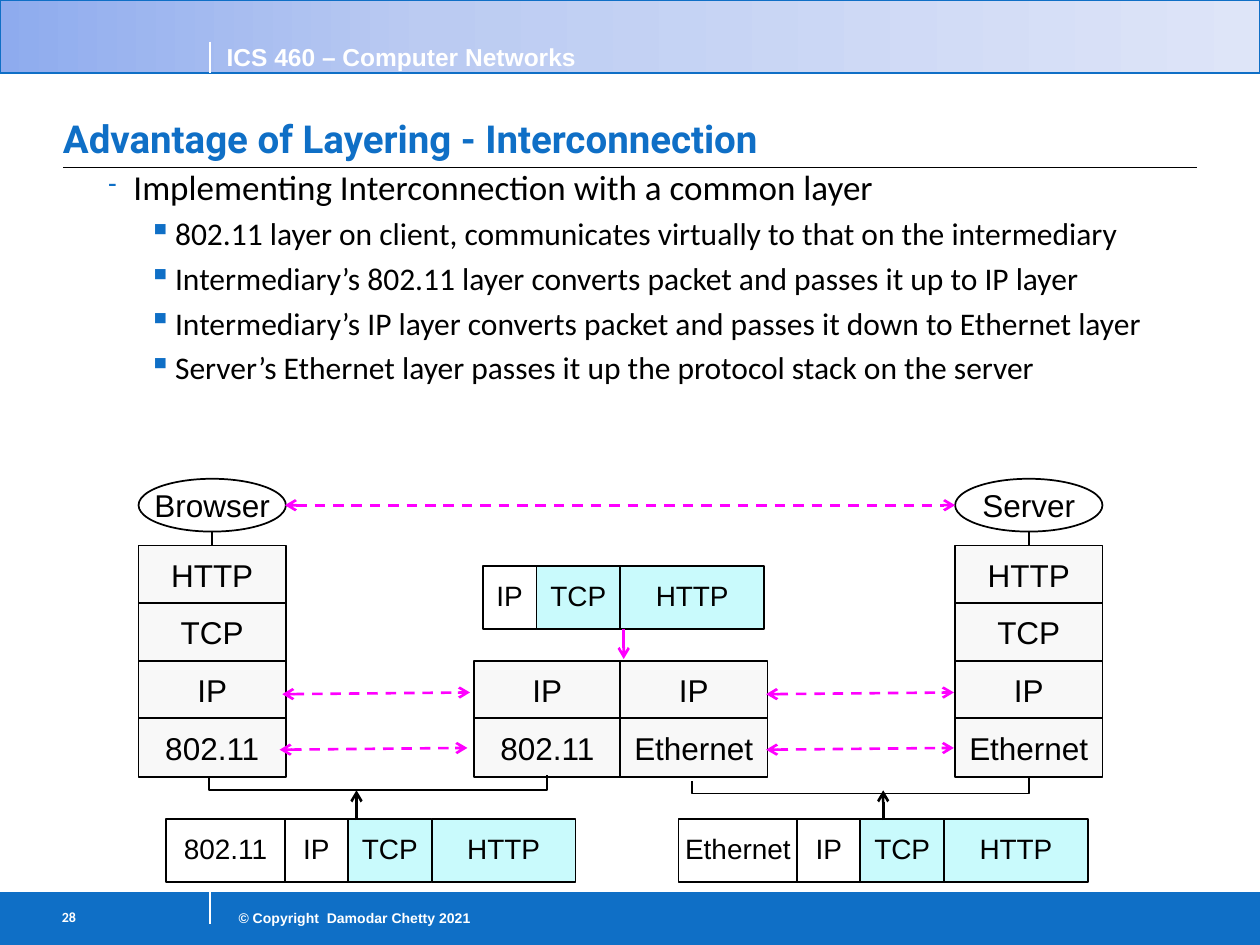
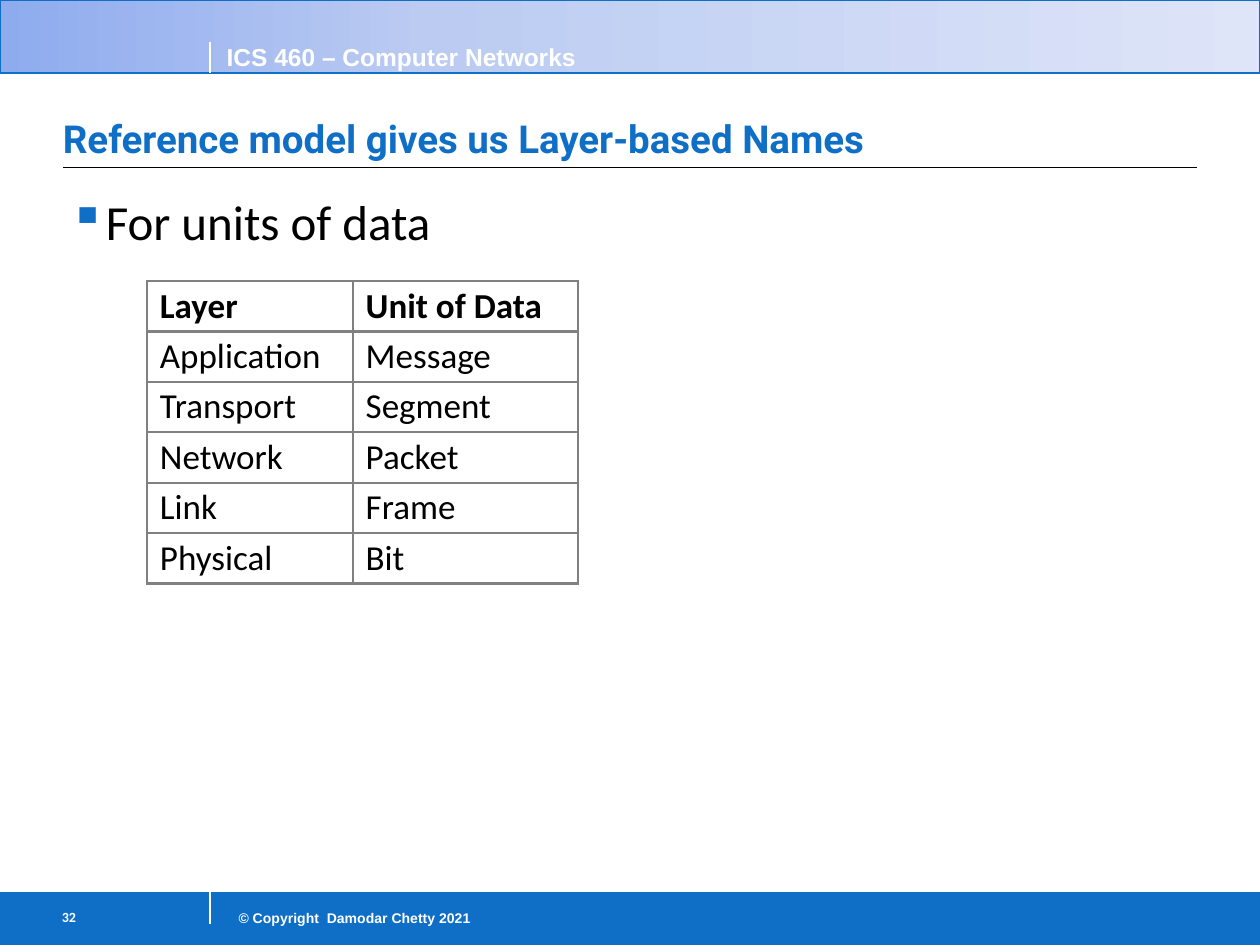
from lxml.etree import SubElement
from pptx import Presentation
from pptx.dml.color import RGBColor
from pptx.enum.dml import MSO_LINE
from pptx.enum.shapes import MSO_CONNECTOR, MSO_SHAPE
from pptx.enum.text import MSO_ANCHOR, PP_ALIGN
from pptx.oxml.ns import qn
from pptx.util import Pt

BLUE = RGBColor(0x0F, 0x6F, 0xC6)
WHITE = RGBColor(0xFF, 0xFF, 0xFF)
BLACK = RGBColor(0, 0, 0)
PALE = RGBColor(0xF8, 0xF8, 0xF8)
CYAN = RGBColor(0xC9, 0xFA, 0xFC)
PINK = RGBColor(0xFF, 0, 0xFF)
GREY = RGBColor(0x80, 0x80, 0x80)
FADE = [(0, "8EABEE"), (34, "BBCBF2"), (100, "DEE5F8")]

WIDE, HIGH = 720, 540
HEAD_Y, RULE_Y, FOOT_Y = 41.8, 95.8, 510
MARK_X = 120

LAYER_W, LAYER_H, STEP = 84.2, 33.4, 32.9
STACK_Y = 311.8
CLIENT_X, WIFI_X, ETHER_X, SERVER_X = 79.2, 270.7, 354.4, 545.8


def add_run(para, text, size, color=BLACK, font="Arial", bold=False):
    run = para.add_run()
    run.text = text
    run.font.name = font
    run.font.size = Pt(size)
    run.font.bold = bold
    run.font.color.rgb = color


def set_frame(frame, inset, anchor):
    frame.word_wrap = True
    frame.vertical_anchor = anchor
    (frame.margin_left, frame.margin_top,
     frame.margin_right, frame.margin_bottom) = map(Pt, inset)


def add_text(slide, box, text, size, color, font="Arial", align=PP_ALIGN.LEFT,
             inset=(7.2, 3.6, 7.2, 3.6), anchor=MSO_ANCHOR.TOP):
    frame = slide.shapes.add_textbox(*map(Pt, box)).text_frame
    set_frame(frame, inset, anchor)
    para = frame.paragraphs[0]
    para.alignment = align
    add_run(para, text, size, color, font, bold=True)


def add_box(slide, box, fill, edge=BLACK, weight=1, text="", size=18,
            kind=MSO_SHAPE.RECTANGLE, lift=0):
    """Draw a filled shape with a centred label, raised by half of lift."""
    shape = slide.shapes.add_shape(kind, *map(Pt, box))
    shape.shadow.inherit = False
    shape.fill.solid()
    shape.fill.fore_color.rgb = fill
    shape.line.color.rgb = edge
    shape.line.width = Pt(weight)
    if text:
        set_frame(shape.text_frame, (0, 0, 0, lift), MSO_ANCHOR.MIDDLE)
        shape.text_frame.word_wrap = False
        para = shape.text_frame.paragraphs[0]
        para.alignment = PP_ALIGN.CENTER
        add_run(para, text, size)
    return shape


def add_line(slide, start, end, color=BLACK, weight=1.0, dash=False, ends=()):
    """Draw a line; ends names the ends that carry an arrowhead."""
    line = slide.shapes.add_connector(
        MSO_CONNECTOR.STRAIGHT, *map(Pt, (*start, *end)))
    line.line.color.rgb = color
    line.line.width = Pt(weight)
    if dash:
        line.line.dash_style = MSO_LINE.DASH
    props = line._element.spPr
    for end_name in ends:
        SubElement(props.find(qn("a:ln")), qn("a:" + end_name), type="arrow")
    SubElement(props, qn("a:effectLst"))


def add_fade(shape, stops):
    shape.fill.gradient()
    shape.fill.gradient_angle = 0
    stop_list = shape._element.spPr.find(qn("a:gradFill")).find(qn("a:gsLst"))
    for old in list(stop_list):
        stop_list.remove(old)
    for place, color in stops:
        stop = SubElement(stop_list, qn("a:gs"), pos=str(place * 1000))
        SubElement(stop, qn("a:srgbClr"), val=color)


def add_base(deck, title, number):
    """Start a slide with the bands, rules, title and footer."""
    slide = deck.slides.add_slide(deck.slide_layouts[6])
    add_box(slide, (0, FOOT_Y, WIDE, HIGH - FOOT_Y), BLUE, BLUE, 0.75)
    add_fade(add_box(slide, (0, 0, WIDE, HEAD_Y), WHITE, BLUE, 0.75), FADE)
    for y in (HEAD_Y, FOOT_Y):
        add_line(slide, (0, y), (WIDE, y), BLUE, 0.5)
    for y in (HEAD_Y - 18, FOOT_Y):
        add_line(slide, (MARK_X, y), (MARK_X, y + 18), WHITE, 0.75)
    add_line(slide, (36, RULE_Y), (684, RULE_Y), BLACK, 0.75)
    add_text(slide, (122.4, 20.2, 291.6, 24.2), "ICS 460 – Computer Networks",
             14, WHITE)
    add_text(slide, (MARK_X, 516.2, 156.2, 17), "© Copyright  Damodar Chetty 2021",
             8, WHITE, align=PP_ALIGN.RIGHT)
    add_text(slide, (23.8, 514.1, 95.8, 25), number, 8, WHITE, "Calibri",
             inset=(11.5, 5, 7.2, 3.6))
    add_text(slide, (36, 43.9, 648, 51.8), title, 22, BLUE, "Roboto",
             inset=(0, 3.6, 0, 3.6), anchor=MSO_ANCHOR.BOTTOM)
    return slide


def add_list(slide, box, items):
    """Add bullets; an item is text, size, indent, hang, mark, mark percent."""
    frame = slide.shapes.add_textbox(*map(Pt, box)).text_frame
    set_frame(frame, (3.6,) * 4, MSO_ANCHOR.TOP)
    for i, (text, size, indent, hang, mark, scale) in enumerate(items):
        para = frame.add_paragraph() if i else frame.paragraphs[0]
        para.line_spacing = 1.04
        if i:
            para.space_before = Pt(3.1)
        props = para._p.get_or_add_pPr()
        props.set("marL", str(Pt(indent)))
        props.set("indent", str(-Pt(hang)))
        tint = SubElement(props, qn("a:buClr"))
        SubElement(tint, qn("a:srgbClr"), val=str(BLUE))
        SubElement(props, qn("a:buSzPct"), val=str(scale * 1000))
        SubElement(props, qn("a:buChar"), char=mark)
        add_run(para, text, size, font="Calibri")


def add_stack(slide, x, layers, host=""):
    """Stack layers down to the link level, with an optional host on top."""
    top = STACK_Y + (4 - len(layers)) * STEP
    for i, name in enumerate(layers):
        add_box(slide, (x, top + i * STEP, LAYER_W, LAYER_H), PALE, text=name)
    if host:
        mid = x + LAYER_W / 2
        add_box(slide, (x, 273.6, LAYER_W, 30.2), WHITE, text=host,
                kind=MSO_SHAPE.OVAL)
        add_line(slide, (mid, 303.8), (mid, STACK_Y))


def add_packet(slide, x, y, fields):
    """Lay out fields of (name, width) side by side."""
    for name, width in fields:
        fill = CYAN if name in ("TCP", "HTTP") else WHITE
        add_box(slide, (x, y, width, 36), fill, text=name, size=16, lift=2.5)
        x += width


def add_brace(slide, left, right, y, rise_left, rise_right):
    """Join two stacks from below and point an arrow up at the joint."""
    path = slide.shapes.build_freeform(Pt(left), Pt(y - rise_left))
    path.add_line_segments(
        [(Pt(left), Pt(y)), (Pt(right), Pt(y)), (Pt(right), Pt(y - rise_right))],
        close=False)
    shape = path.convert_to_shape()
    shape.shadow.inherit = False
    shape.fill.background()
    shape.line.color.rgb = BLACK
    shape.line.width = Pt(1)
    mid = left + 84.2
    if left > WIDE / 2:
        mid = right - 83.5
    add_line(slide, (mid, 468.7), (mid, 451.6), weight=1.5, ends=["tailEnd"])


def add_link(slide, left, right, y, rise=0.0):
    add_line(slide, (left, y), (right, y - rise), PINK, 1.5, True,
             ["headEnd", "tailEnd"])


def add_grid(slide, x, y, widths, height, rows):
    shape = slide.shapes.add_table(len(rows), len(widths), Pt(x), Pt(y),
                                   Pt(sum(widths)), Pt(height * len(rows)))
    table = shape.table
    table.first_row = table.horz_banding = False
    for col, width in zip(table.columns, widths):
        col.width = Pt(width)
    for r, words in enumerate(rows):
        table.rows[r].height = Pt(height)
        for c, word in enumerate(words):
            cell = table.cell(r, c)
            props = cell._tc.get_or_add_tcPr()
            for side in ("lnL", "lnR", "lnT", "lnB"):
                edge = SubElement(props, qn("a:" + side), w=str(Pt(1.5)))
                fill = SubElement(edge, qn("a:solidFill"))
                SubElement(fill, qn("a:srgbClr"), val=str(GREY))
            cell.fill.background()
            cell.margin_left, cell.margin_right = Pt(7.2), Pt(3.6)
            cell.margin_top = cell.margin_bottom = Pt(2.1)
            add_run(cell.text_frame.paragraphs[0], word, 20, font="Calibri",
                    bold=r == 0)


def draw_stacks(slide):
    add_stack(slide, CLIENT_X, ["HTTP", "TCP", "IP", "802.11"], "Browser")
    add_stack(slide, WIFI_X, ["IP", "802.11"])
    add_stack(slide, ETHER_X, ["IP", "Ethernet"])
    add_stack(slide, SERVER_X, ["HTTP", "TCP", "IP", "Ethernet"], "Server")

    load = [("TCP", 47.9), ("HTTP", 82.2)]
    add_packet(slide, 275.8, 323.4, [("IP", 30.8)] + load)
    for x, link in ((95, "802.11"), (387.8, "Ethernet")):
        add_packet(slide, x, 468, [(link, 67.8), ("IP", 36)] + load)

    add_brace(slide, 119.5, 312.5, 451.6, 6.8, 8.6)
    add_brace(slide, 395.3, 588.2, 453.4, 7, 9.2)
    add_line(slide, (356.4, 359.3), (356.4, 376.6), PINK, 1.5, ends=["tailEnd"])
    add_link(slide, 162.8, SERVER_X, 288.7)
    for left, y in ((161.3, 396.7), (159.8, 428.4), (437.8, 396.7), (437.8, 428.4)):
        add_link(slide, left, left + 107.3, y, 1)


def main():
    deck = Presentation()
    deck.slide_width, deck.slide_height = Pt(WIDE), Pt(HIGH)

    slide = add_base(deck, "Advantage of Layering - Interconnection", "28")
    steps = [
        "802.11 layer on client, communicates virtually to that on the intermediary",
        "Intermediary’s 802.11 layer converts packet and passes it up to IP layer",
        "Intermediary’s IP layer converts packet and passes it down to Ethernet layer",
        "Server’s Ethernet layer passes it up the protocol stack on the server",
    ]
    lead = ("Implementing Interconnection with a common layer", 20, 36.7, 14.4, "-", 70)
    add_list(slide, (36, 90, 671.8, 140),
             [lead] + [(step, 18, 60.5, 15.1, "▪", 100) for step in steps])
    draw_stacks(slide)

    slide = add_base(deck, "Reference model gives us Layer-based Names", "32")
    add_list(slide, (36, 104.4, 671.8, 46),
             [("For units of data", 28, 15.1, 15.1, "▪", 100)])
    add_grid(slide, 84.2, 160.6, (117.6, 128.4), 28.8, [
        ("Layer", "Unit of Data"), ("Application", "Message"),
        ("Transport", "Segment"), ("Network", "Packet"),
        ("Link", "Frame"), ("Physical", "Bit")])

    deck.save("out.pptx")


if __name__ == "__main__":
    main()
